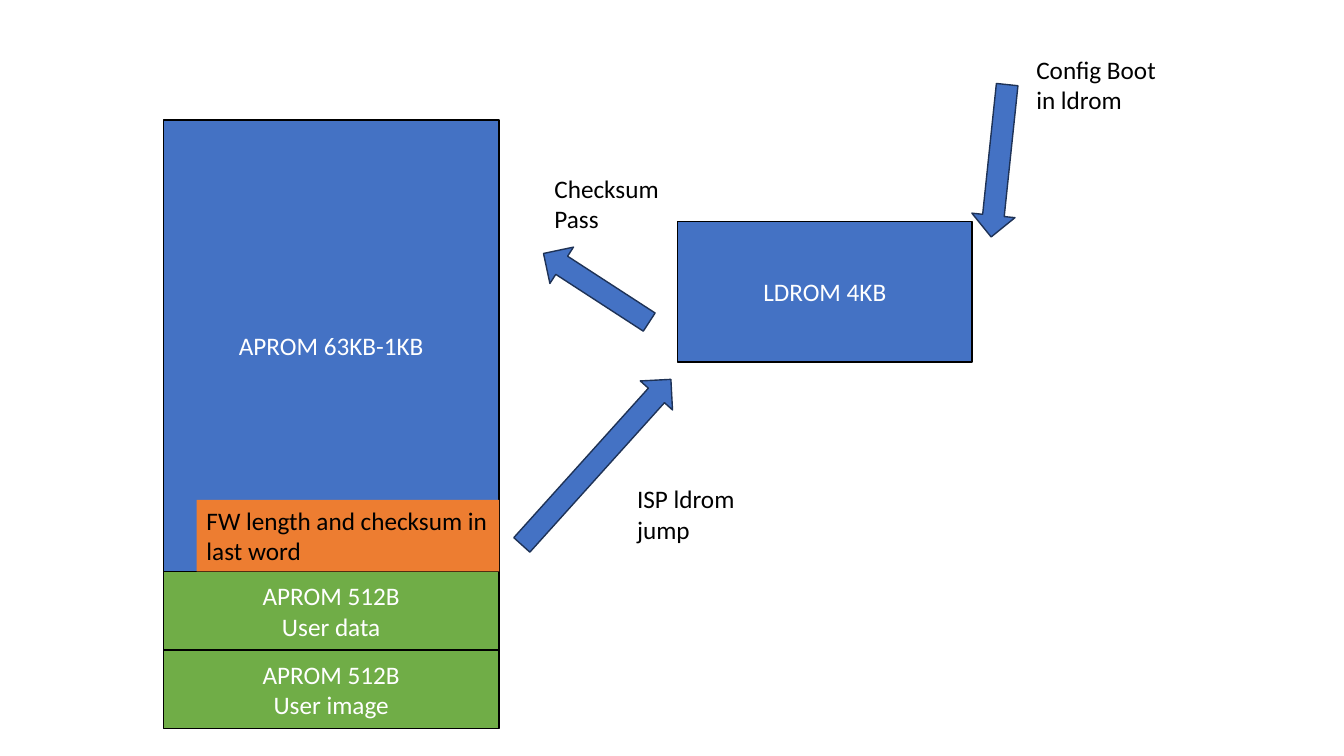
"""Build a slide showing the APROM and LDROM memory layout and boot flow."""
import pptx
import pptx.dml.color
import pptx.enum.shapes
import pptx.enum.text
import pptx.util

Inches = pptx.util.Inches
SHAPES = pptx.enum.shapes.MSO_SHAPE
ALIGN = pptx.enum.text.PP_ALIGN
ANCHOR = pptx.enum.text.MSO_ANCHOR

THEME = {
    "font": "Calibri", "size": 18, "outline_width": 1,
    "blue": "4472C4", "green": "70AD47", "orange": "ED7D31",
    "arrow_outline": "1E3256", "black": "000000", "white": "FFFFFF",
}

APROM_LEFT, APROM_TOP, APROM_WIDTH = 1.62, 1.19, 3.33
APROM_SECTIONS = [
    (["APROM 63KB-1KB"], 4.48, "blue"),
    (["APROM 512B", "User data"], 0.78, "green"),
    (["APROM 512B", "User image"], 0.78, "green"),
]
LDROM = (["LDROM 4KB"], (6.72, 2.2, 2.92, 1.39))
CHECKSUM_NOTE = (["FW length and checksum in last word"], (1.95, 4.96, 3, 0.71))

ARROW_HEIGHT = 0.43
ARROWS = [
    (5.29, 2.64, 1.25, 213),
    (9.15, 1.38, 1.52, 96),
    (4.81, 4.37, 2.21, 312),
]

LABEL_SIZE = (1.42, 0.71)
LABELS = [
    ("Config Boot in ldrom", 10.18, 0.49),
    ("Checksum Pass", 5.4, 1.67),
    ("ISP ldrom jump", 6.22, 4.75),
]


def color(name):
    return pptx.dml.color.RGBColor.from_string(THEME[name])


def write_text(shape, lines, text_color="black", align=ALIGN.LEFT, anchor=ANCHOR.TOP):
    frame = shape.text_frame
    frame.word_wrap = True
    frame.vertical_anchor = anchor
    frame.text = "\n".join(lines)
    for paragraph in frame.paragraphs:
        paragraph.alignment = align
        font = paragraph.runs[0].font
        font.name = THEME["font"]
        font.size = pptx.util.Pt(THEME["size"])
        font.color.rgb = color(text_color)


def add_filled_shape(slide, kind, box, fill, outline=None):
    shape = slide.shapes.add_shape(kind, *map(Inches, box))
    shape.shadow.inherit = False
    shape.fill.solid()
    shape.fill.fore_color.rgb = color(fill)
    if outline:
        shape.line.color.rgb = color(outline)
        shape.line.width = pptx.util.Pt(THEME["outline_width"])
    else:
        shape.line.fill.background()
    return shape


def add_memory_block(slide, lines, box, fill):
    block = add_filled_shape(slide, SHAPES.RECTANGLE, box, fill, "black")
    write_text(block, lines, text_color="white", align=ALIGN.CENTER, anchor=ANCHOR.MIDDLE)


def main():
    presentation = pptx.Presentation()
    presentation.slide_width = Inches(13.33)
    presentation.slide_height = Inches(7.5)
    slide = presentation.slides.add_slide(presentation.slide_layouts[6])

    top = APROM_TOP
    for lines, height, fill in APROM_SECTIONS:
        add_memory_block(slide, lines, (APROM_LEFT, top, APROM_WIDTH, height), fill)
        top += height

    ldrom_lines, ldrom_box = LDROM
    add_memory_block(slide, ldrom_lines, ldrom_box, "blue")

    note_lines, note_box = CHECKSUM_NOTE
    note = add_filled_shape(slide, SHAPES.RECTANGLE, note_box, "orange")
    write_text(note, note_lines)

    for left, top, length, rotation in ARROWS:
        box = (left, top, length, ARROW_HEIGHT)
        arrow = add_filled_shape(slide, SHAPES.RIGHT_ARROW, box, "blue", "arrow_outline")
        arrow.rotation = rotation

    for text, left, top in LABELS:
        label = slide.shapes.add_textbox(*map(Inches, (left, top, *LABEL_SIZE)))
        write_text(label, [text])

    presentation.save("out.pptx")


if __name__ == "__main__":
    main()
